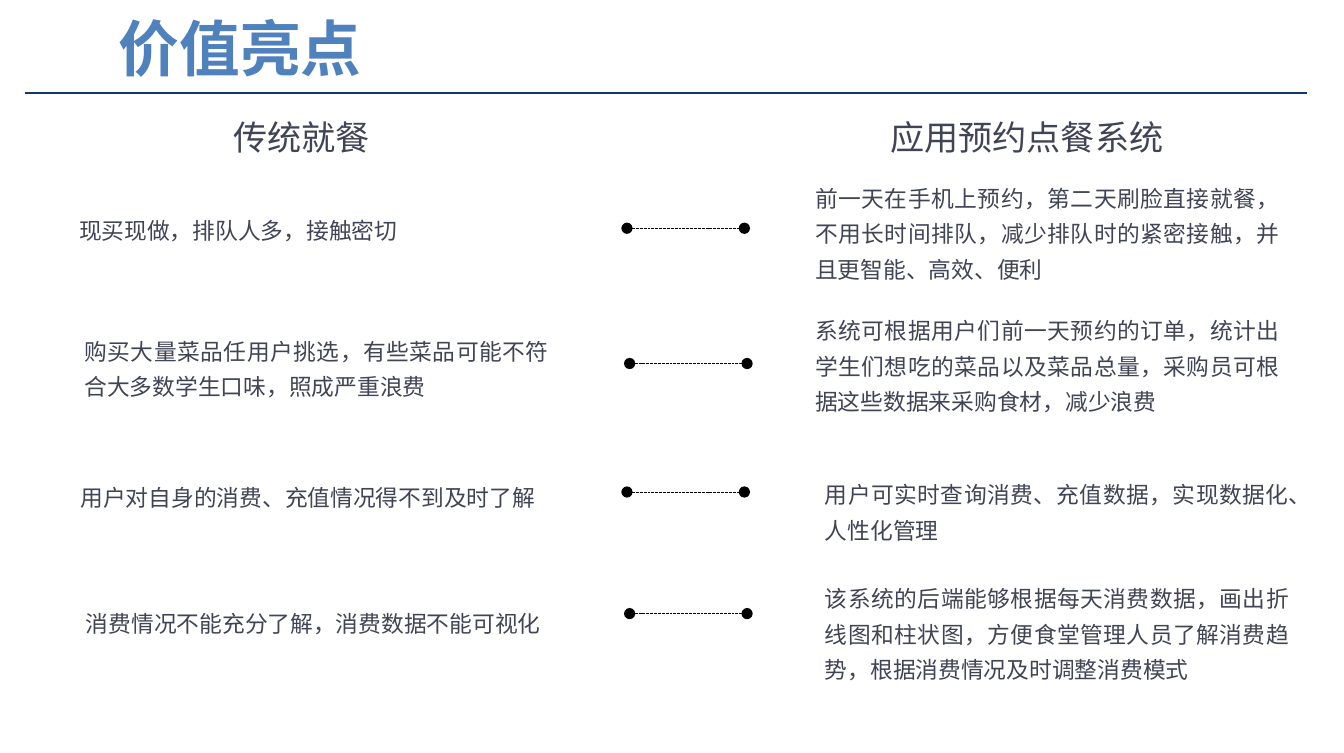
from lxml.etree import SubElement
from pptx import Presentation
from pptx.dml.color import RGBColor
from pptx.enum.dml import MSO_LINE as Dash
from pptx.enum.shapes import MSO_CONNECTOR as Link
from pptx.enum.text import MSO_ANCHOR as Anchor, MSO_AUTO_SIZE as Fit, PP_ALIGN as Align
from pptx.oxml.ns import qn
from pptx.util import Inches, Pt

WIDE, HIGH = Inches(9.84), Inches(5.51)
BLUE = RGBColor(0x4F, 0x81, 0xBD)
NAVY = RGBColor(0x11, 0x38, 0x71)
SLATE = RGBColor(0x41, 0x44, 0x55)
BLACK = RGBColor(0, 0, 0)

HEAD = {"name": "Calibri", "size": Pt(32), "bold": True}
TOPIC = {"name": "Times New Roman", "size": Pt(18)}
BODY = {"name": "Times New Roman", "size": Pt(12)}

# All places are percentages of the slide's width and height
TEXT_W, LINK_W = 36.59, 8.74
TOPICS = [(16.36, "传统就餐"), (65.24, "应用预约点餐系统")]

# Each row: left text, link, right text; a text is (x, y, height, words)
ROWS = [
    ((4.88, 26.86, 6.53, "现买现做，排队人多，接触密切"),
     (46.65, 30.31),
     (59.65, 22.5, 15.61, "前一天在手机上预约，第二天刷脸直接就餐，不用长时间排队，"
      "减少排队时的紧密接触，并且更智能、高效、便利")),
    ((5.28, 42.83, 10.89, "购买大量菜品任用户挑选，有些菜品可能不符合大多数学生口味，照成严重浪费"),
     (46.85, 48.28),
     (59.65, 40.11, 16.15, "系统可根据用户们前一天预约的订单，统计出学生们想吃的菜品"
      "以及菜品总量，采购员可根据这些数据来采购食材，减少浪费")),
    ((4.98, 62.25, 6.17, "用户对自身的消费、充值情况得不到及时了解"),
     (46.65, 65.34),
     (60.37, 61.89, 10.89, "用户可实时查询消费、充值数据，实现数据化、人性化管理")),
    ((5.39, 78.95, 6.17, "消费情况不能充分了解，消费数据不能可视化"),
     (46.85, 81.49),
     (60.37, 75.68, 16.15, "该系统的后端能够根据每天消费数据，画出折线图和柱状图，"
      "方便食堂管理人员了解消费趋势，根据消费情况及时调整消费模式")),
]


def col(share):
    return round(WIDE * share / 100)


def row(share):
    return round(HIGH * share / 100)


def style(item, form):
    for key, value in form.items():
        setattr(item, key, value)


def write(frame, words, form, color, para):
    frame.text = words
    first = frame.paragraphs[0]
    style(first, para)
    font = first.runs[0].font
    style(font, form)
    font.color.rgb = color


def add_title(slide):
    title = slide.shapes.title
    style(title, {"left": col(8.13), "top": row(2.9),
                  "width": col(38.41), "height": row(6.72)})
    frame = title.text_frame
    style(frame, {"auto_size": Fit.NONE, "word_wrap": True,
                  "vertical_anchor": Anchor.MIDDLE,
                  "margin_left": Inches(0.07), "margin_right": Inches(0.07),
                  "margin_top": Inches(0.04), "margin_bottom": Inches(0.04)})
    write(frame, "价值亮点", HEAD, BLUE, {"alignment": Align.LEFT})


def add_text(slide, x, y, high, words, form=BODY):
    box = slide.shapes.add_textbox(col(x), row(y), col(TEXT_W), row(high))
    frame = box.text_frame
    style(frame, {"word_wrap": True, "auto_size": Fit.SHAPE_TO_FIT_TEXT})
    write(frame, words, form, SLATE,
          {"alignment": Align.JUSTIFY, "line_spacing": 1.3})


def add_line(slide, start, end, y, color, width):
    wire = slide.shapes.add_connector(
        Link.STRAIGHT, col(start), row(y), col(end), row(y))
    wire.line.color.rgb = color
    wire.line.width = Pt(width)
    SubElement(wire._element.spPr, qn("a:effectLst"))
    return wire.line


def add_link(slide, x, y):
    line = add_line(slide, x + LINK_W, x, y, BLACK, 0.5)
    line.dash_style = Dash.SQUARE_DOT
    for end in ("a:headEnd", "a:tailEnd"):
        SubElement(line._get_or_add_ln(), qn(end), type="oval")


def main():
    deck = Presentation()
    style(deck, {"slide_width": WIDE, "slide_height": HIGH})
    slide = deck.slides.add_slide(deck.slide_layouts[5])

    # Title and rule
    add_title(slide)
    add_line(slide, 1.83, 97.26, 12.34, NAVY, 0.75)

    # Column headings
    for x, words in TOPICS:
        add_text(slide, x, 12.89, 8.89, words, TOPIC)

    # Compared pairs
    for before, link, after in ROWS:
        add_text(slide, *before)
        add_link(slide, *link)
        add_text(slide, *after)

    deck.save("out.pptx")


if __name__ == "__main__":
    main()
